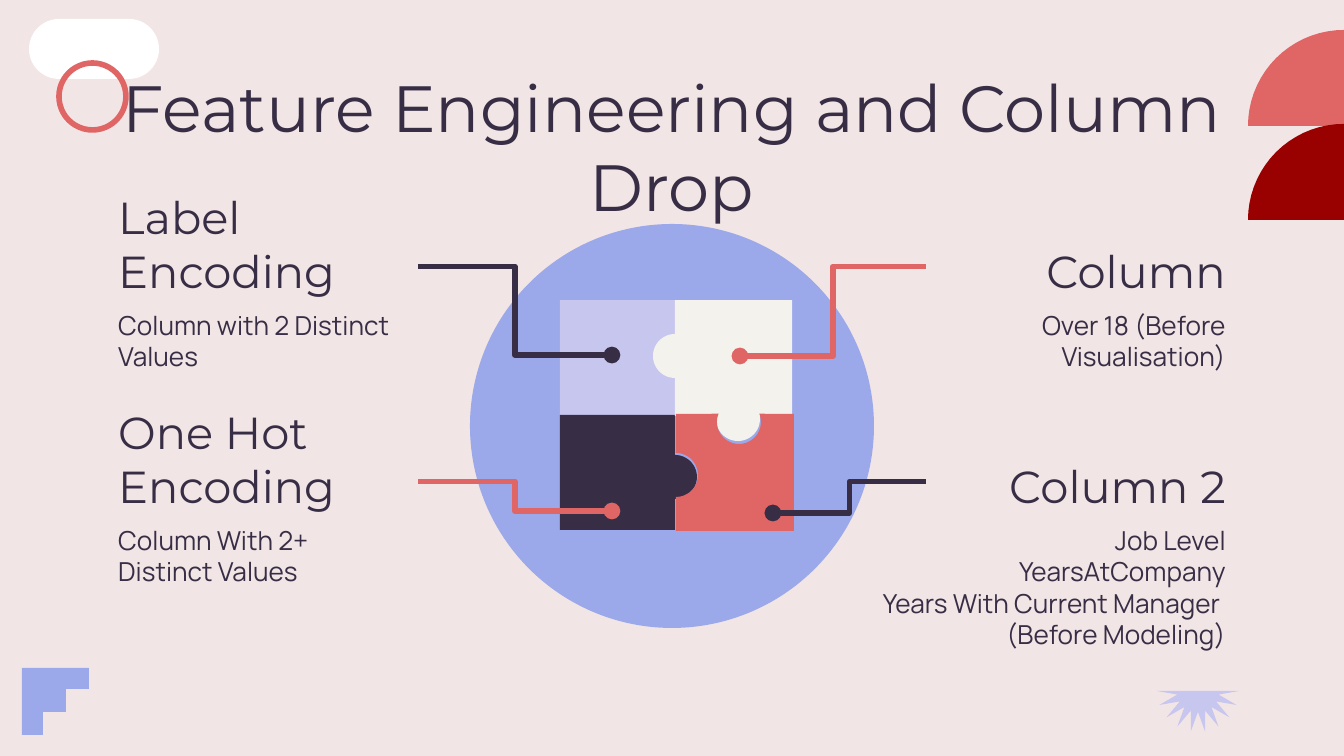
import math

import lxml.etree
import pptx
import pptx.dml.color
import pptx.enum.shapes
import pptx.enum.text
import pptx.oxml.ns
import pptx.util

EMU_PER_PX = 914400 / 134.4
COLORS = {
    "background": "F2E5E5",
    "ink": "372E46",
    "coral": "E06666",
    "maroon": "990000",
    "blue": "9BA8E9",
    "lavender": "C7C6EE",
    "cream": "F3F2ED",
    "white": "FFFFFF",
}
SHAPES = pptx.enum.shapes.MSO_SHAPE
ALIGN = pptx.enum.text.PP_ALIGN
ANCHOR = pptx.enum.text.MSO_ANCHOR


def emu(px):
    return pptx.util.Emu(round(px * EMU_PER_PX))


def color(name):
    return pptx.dml.color.RGBColor.from_string(COLORS[name])


def arc(x, y, radius, start, end, steps=36):
    """Points on a circle; degrees run clockwise on the slide from the right."""
    angles = [math.radians(start + (end - start) * i / steps) for i in range(steps + 1)]
    return [(x + radius * math.cos(a), y + radius * math.sin(a)) for a in angles]


class SlideBuilder:
    heading_font = "Montserrat"
    body_font = "Manrope"
    line_width = pptx.util.Pt(3)
    margin = pptx.util.Inches(0.1)

    def __init__(self, slide):
        self.slide = slide
        slide.background.fill.solid()
        slide.background.fill.fore_color.rgb = color("background")

    def paint(self, shape, fill=None, line=None):
        shape.shadow.inherit = False
        if fill:
            shape.fill.solid()
            shape.fill.fore_color.rgb = color(fill)
        else:
            shape.fill.background()
        if line:
            shape.line.color.rgb = color(line)
            shape.line.width = self.line_width
        else:
            shape.line.fill.background()
        return shape

    def preset(self, kind, x, y, width, height, fill=None, line=None):
        shape = self.slide.shapes.add_shape(kind, emu(x), emu(y), emu(width), emu(height))
        return self.paint(shape, fill, line)

    def outline(self, points, fill):
        vertices = [(emu(x), emu(y)) for x, y in points]
        builder = self.slide.shapes.build_freeform(*vertices[0], scale=1.0)
        builder.add_line_segments(vertices[1:], close=True)
        return self.paint(builder.convert_to_shape(), fill)

    def set_text(self, shape, lines, font, size, align, anchor=ANCHOR.TOP):
        frame = shape.text_frame
        frame.word_wrap = True
        frame.auto_size = pptx.enum.text.MSO_AUTO_SIZE.NONE
        frame.vertical_anchor = anchor
        frame.margin_left = frame.margin_right = self.margin
        frame.margin_top = frame.margin_bottom = self.margin
        frame.text = "\n".join(lines)
        for paragraph in frame.paragraphs:
            paragraph.alignment = align
            paragraph.font.name = font
            paragraph.font.size = pptx.util.Pt(size)
            paragraph.font.color.rgb = color("ink")

    def title(self, text, x, y, width, height):
        shape = self.slide.shapes.title
        shape.left, shape.top = emu(x), emu(y)
        shape.width, shape.height = emu(width), emu(height)
        self.set_text(shape, [text], self.heading_font, 35, ALIGN.CENTER)
        # Bring the title in front of the decorations
        shape.element.getparent().append(shape.element)

    def textbox(self, x, y, width, height):
        return self.slide.shapes.add_textbox(emu(x), emu(y), emu(width), emu(height))

    def heading(self, text, x, y, align):
        box = self.textbox(x, y, 313, 89)
        self.set_text(box, [text], self.heading_font, 24, align, ANCHOR.BOTTOM)
        return box

    def description(self, lines, x, y, width, height, align):
        box = self.textbox(x, y, width, height)
        self.set_text(box, lines, self.body_font, 14, align)

    def callout(self, heading, site, end_x, end_y, line):
        """Elbow line from a heading's side to a dot on a puzzle piece."""
        start_x = heading.left + (heading.width if site == 3 else 0)
        start_y = heading.top + heading.height // 2
        connector = self.slide.shapes.add_connector(
            pptx.enum.shapes.MSO_CONNECTOR.ELBOW, start_x, start_y, emu(end_x), emu(end_y))
        connector.begin_connect(heading, site)
        connector.line.color.rgb = color(line)
        connector.line.width = self.line_width
        qn = pptx.oxml.ns.qn
        properties = connector.element.spPr
        lxml.etree.SubElement(properties.find(qn("a:ln")), qn("a:tailEnd"), type="oval")
        lxml.etree.SubElement(properties, qn("a:effectLst"))


def add_decorations(builder):
    builder.outline([(22, 668), (89, 668), (89, 689), (66, 689), (66, 712),
                     (43, 712), (43, 735), (22, 735)], "blue")
    pill = builder.preset(SHAPES.ROUNDED_RECTANGLE, 29, 19, 130, 60, "white")
    pill.adjustments[0] = 0.5
    builder.preset(SHAPES.OVAL, 59, 63, 67, 67, line="coral")
    burst = [arc(1198, 691, 21 if i % 2 else 41, 10 * i, 10 * i, 1)[0] for i in range(19)]
    builder.outline(burst, "lavender")
    for base, fill in ((126, "coral"), (220, "maroon")):
        builder.outline(arc(1344, base, 96, 180, 360), fill)


def add_puzzle(builder):
    builder.preset(SHAPES.OVAL, 470, 224, 404, 404, "blue")
    pieces = {
        "lavender": [(560, 300), (560, 415), *arc(617, 426, 22, 210, -30),
                     (676, 415), (676, 300)],
        "ink": [(560, 415), (560, 530), (675, 530), *arc(675, 477, 22, 90, -90), (675, 415)],
        "cream": [(675, 300), *arc(675, 356, 22, 270, 90), (675, 416),
                  *arc(738, 419, 22, 188, -8), (792, 416), (792, 300)],
        "coral": [(676, 414), *arc(676, 475, 22, -90, 90), (676, 531), (794, 531),
                  (794, 414), *arc(739, 422, 22, -22, 202)],
    }
    for fill, points in pieces.items():
        builder.outline(points, fill)


def add_topics(builder):
    left, right = (105, ALIGN.LEFT, 3), (926, ALIGN.RIGHT, 1)
    top, bottom = 222, 437
    # side, row, heading, description, description width and height, dot, line colour
    topics = [
        (left, top, "Label Encoding", ["Column with 2 Distinct Values"],
         313, 114, (612, 355), "ink"),
        (left, bottom, "One Hot Encoding", ["Column With 2+ Distinct Values"],
         313, 117, (612, 511), "coral"),
        (right, top, "Column", ["Over 18 (Before Visualisation)"],
         313, 114, (740, 356), "coral"),
        (right, bottom, "Column 2",
         ["Job Level", "YearsAtCompany", "Years With Current Manager ", "(Before Modeling)"],
         390, 148, (773, 513), "ink"),
    ]
    for (x, align, site), y, name, lines, width, height, dot, line in topics:
        heading = builder.heading(name, x, y, align)
        text_x = x if align == ALIGN.LEFT else x + 313 - width
        builder.description(lines, text_x, y + 74, width, height, align)
        builder.callout(heading, site, *dot, line)


def main():
    presentation = pptx.Presentation()
    presentation.slide_width = emu(1344)
    presentation.slide_height = emu(756)
    slide = presentation.slides.add_slide(presentation.slide_layouts[5])
    builder = SlideBuilder(slide)
    add_decorations(builder)
    builder.title("Feature Engineering and Column Drop", 105, 54, 1134, 84)
    add_puzzle(builder)
    add_topics(builder)
    presentation.save("out.pptx")


if __name__ == "__main__":
    main()
